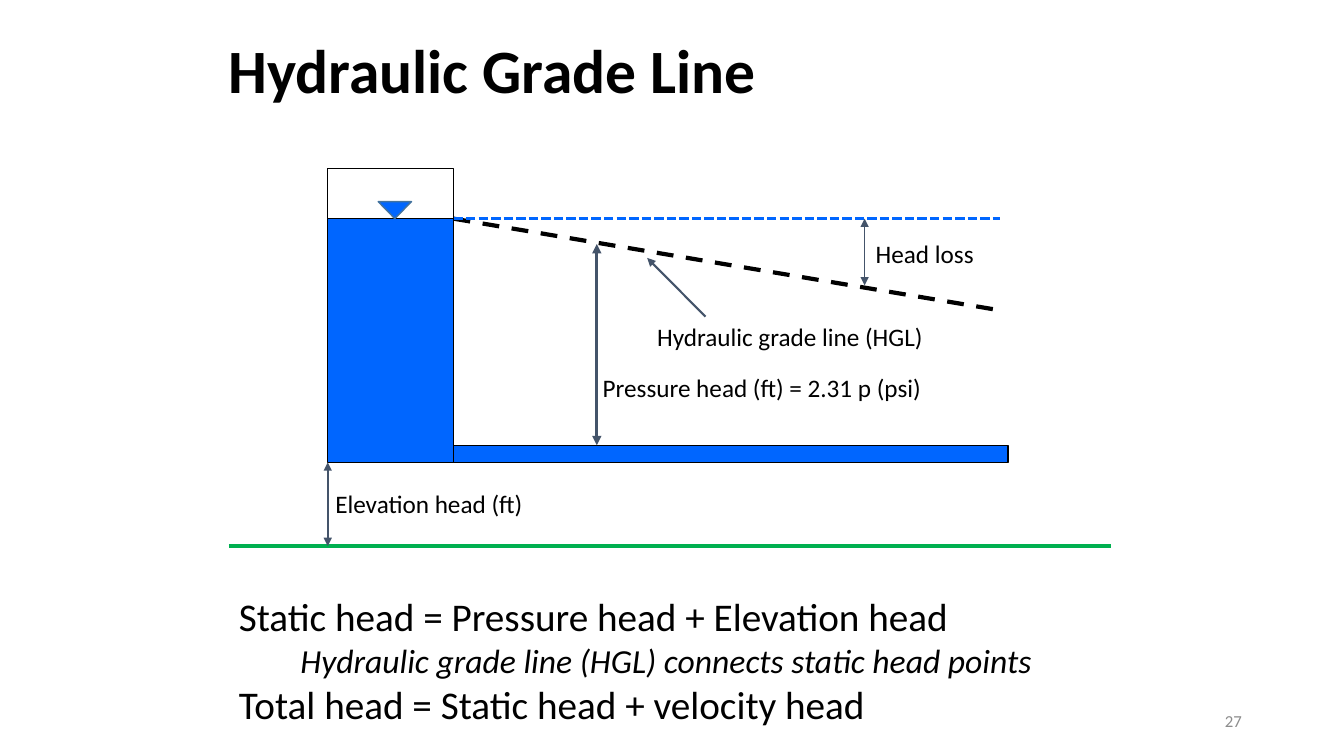
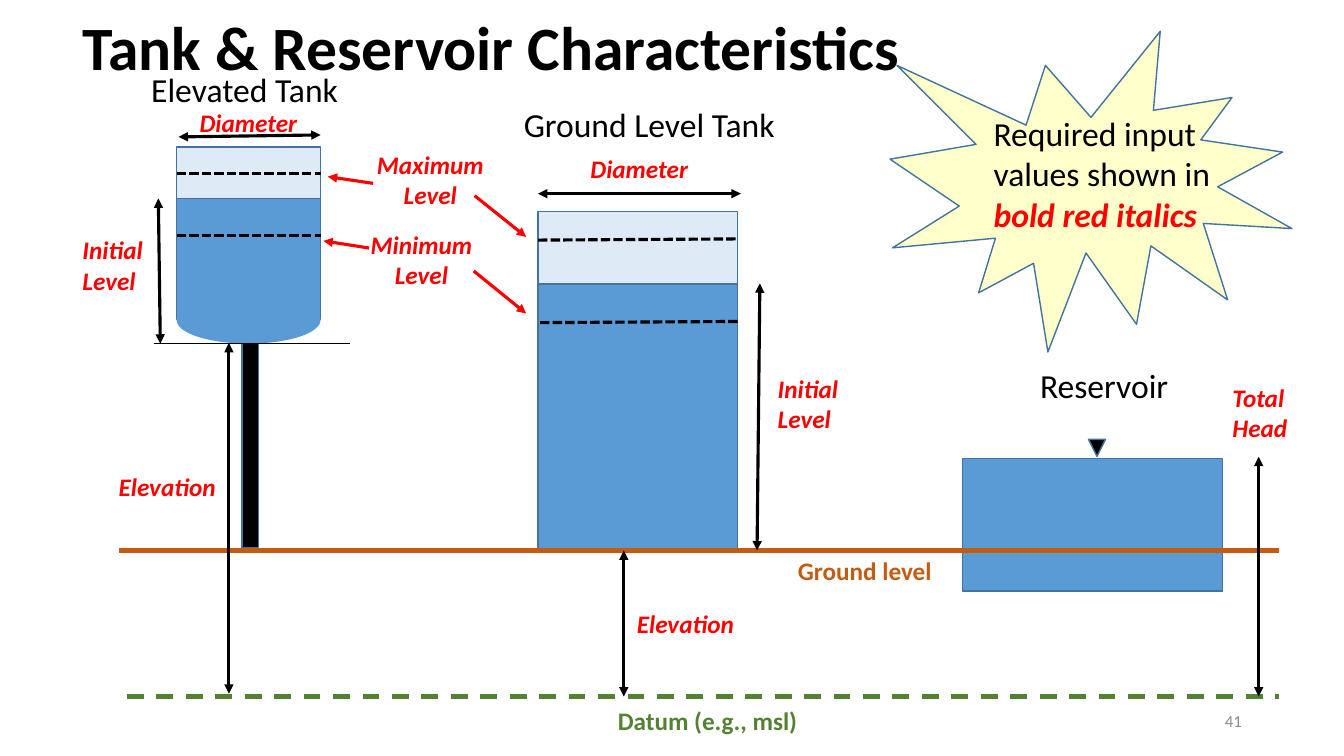
from pptx import Presentation
from pptx.dml.color import RGBColor
from pptx.enum.dml import MSO_LINE as Dash
from pptx.enum.shapes import MSO_CONNECTOR as Link, MSO_SHAPE as Kind
from pptx.enum.text import MSO_ANCHOR as Anchor, PP_ALIGN as Align
from pptx.oxml.ns import qn
from pptx.util import Cm, Pt
from lxml import etree

HUES = {
    "black": "000000", "white": "FFFFFF", "grey": "8C8C8C", "slate": "44546A",
    "water": "0066FF", "green": "00B050", "edge": "43739E", "blue": "5B9BD5",
    "pale": "DEEBF7", "cream": "FFFFCC", "soil": "C55A11", "datum": "548235",
    "red": "FF0000",
}
FONT = "Calibri"
INPUT = {"hue": "red", "bold": True, "italic": True}
BOTH = ("headEnd", "tailEnd")
END = ("tailEnd",)


def rgb(hue):
    return RGBColor.from_string(HUES[hue])


def style(run, size=18, hue="black", bold=False, italic=False):
    font = run.font
    font.name, font.size = FONT, Pt(size)
    font.bold, font.italic = bold, italic
    font.color.rgb = rgb(hue)


def text(slide, x, y, w, lines, h=1.02, wrap=False, align=Align.LEFT,
         anchor=Anchor.TOP, **look):
    """Add a text box with one look for all its lines; return its frame."""
    frame = slide.shapes.add_textbox(Cm(x), Cm(y), Cm(w), Cm(h)).text_frame
    frame.word_wrap = wrap
    frame.vertical_anchor = anchor
    frame.text = lines
    for para in frame.paragraphs:
        para.alignment = align
        for run in para.runs:
            style(run, **look)
    return frame


def title(slide, x, y, w, h, words):
    frame = text(slide, x, y, w, words, h, wrap=True, anchor=Anchor.MIDDLE,
                 size=44, bold=True)
    frame.paragraphs[0].line_spacing = 0.9


def number(slide, num):
    text(slide, 23.93, 17.65, 7.62, num, wrap=True, align=Align.RIGHT,
         anchor=Anchor.MIDDLE, size=12, hue="grey")


def shape(slide, x, y, w, h, fill, edge="edge", kind=Kind.RECTANGLE, turn=0):
    item = slide.shapes.add_shape(kind, Cm(x), Cm(y), Cm(w), Cm(h))
    item.shadow.inherit = False
    item.rotation = turn
    item.fill.solid()
    item.fill.fore_color.rgb = rgb(fill)
    if edge:
        item.line.color.rgb = rgb(edge)
        item.line.width = Pt(1)
    else:
        item.line.fill.background()


def line(slide, x1, y1, x2, y2, hue="black", width=2.25, dash=None, ends=()):
    item = slide.shapes.add_connector(Link.STRAIGHT, Cm(x1), Cm(y1), Cm(x2), Cm(y2))
    item.line.color.rgb = rgb(hue)
    item.line.width = Pt(width)
    if dash:
        item.line.dash_style = dash
    stroke = item.line._get_or_add_ln()
    for end in ends:
        etree.SubElement(stroke, qn("a:" + end)).set("type", "triangle")
    etree.SubElement(item._element.spPr, qn("a:effectLst"))


def grade(slide):
    """Draw the hydraulic grade line slide."""
    title(slide, 5.51, 0.76, 22.86, 2.21, "Hydraulic Grade Line")
    left, right, level, base, ground = 8.26, 11.43, 5.51, 11.65, 13.76
    pipe = 11.22
    shape(slide, left, level, right - left, base - level, "water", "black")
    shape(slide, left, 4.24, right - left, level - 4.24, "white", "black")
    line(slide, right, level, 25.2, 7.82, width=3, dash=Dash.DASH)
    shape(slide, right, pipe, 13.97, base - pipe, "water", "black")
    shape(slide, 9.53, 5.08, 0.84, 0.43, "water",
          kind=Kind.ISOSCELES_TRIANGLE, turn=180)
    line(slide, 5.77, ground, 27.99, ground, "green")
    line(slide, right, level, 25.2, level, "water", dash=Dash.SQUARE_DOT)

    line(slide, 17.78, 7.98, 16.31, 6.5, "slate", 1.5, ends=END)
    for x, top, foot, width in ((left, base, ground, 1.5),
                                (15.04, 6.15, pipe, 2.25),
                                (21.79, level, 7.19, 1)):
        line(slide, x, top, x, foot, "slate", width, ends=BOTH)
    for x, y, w, words in ((16.31, 7.98, 7.29, "Hydraulic grade line (HGL)"),
                           (8.2, 12.19, 5.31, "Elevation head (ft)"),
                           (14.94, 9.25, 8.66, "Pressure head (ft) = 2.31 p (psi)"),
                           (21.82, 5.89, 3.02, "Head loss")):
        text(slide, x, y, w, words)

    frame = text(slide, 5.77, 14.81, 23.29,
                 "Static head = Pressure head + Elevation head\n"
                 "Hydraulic grade line (HGL) connects static head points\n"
                 "Total head = Static head + velocity head",
                 h=3.68, wrap=True, size=28)
    inner = frame.paragraphs[1]
    inner._p.get_or_add_pPr().set("marL", str(Cm(1.55)))
    style(inner.runs[0], size=24, italic=True)
    number(slide, "27")


def tanks(slide):
    """Draw the tank and reservoir slide."""
    ground, datum, foot = 13.87, 17.55, 8.66
    shape(slide, 22.43, 0.79, 10.13, 8.08, "cream", kind=Kind.EXPLOSION1)
    title(slide, 1.83, 0.25, 29.9, 2.03, "Tank & Reservoir Characteristics")

    for x, y, w, h, fill in ((6.1, 7.92, 0.41, 5.89, "black"),
                             (4.45, 4.93, 3.63, 3.12, "blue"),
                             (4.45, 3.71, 3.63, 1.3, "pale"),
                             (13.56, 7.16, 5.03, 6.73, "blue"),
                             (13.56, 5.33, 5.03, 1.83, "pale"),
                             (24.26, 11.56, 6.55, 3.33, "blue")):
        shape(slide, x, y, w, h, fill)
    shape(slide, 4.45, 7.47, 3.63, 1.19, "blue", None, Kind.OVAL)
    shape(slide, 27.43, 11.07, 0.43, 0.43, "black",
          kind=Kind.ISOSCELES_TRIANGLE, turn=180)

    line(slide, 3, ground, 32.23, ground, "soil", 3)
    line(slide, 3.2, datum, 32.23, datum, "datum", 3, Dash.DASH)
    line(slide, 3.89, foot, 8.81, foot, width=1)
    for ends in ((4.45, 4.37, 8.08, 4.37), (4.45, 5.94, 8.08, 5.94),
                 (13.56, 6.05, 18.59, 6.02), (13.61, 8.13, 18.64, 8.1)):
        line(slide, *ends, dash=Dash.SQUARE_DOT)
    for ends in ((31.72, datum, 31.72, 11.51), (15.72, datum, 15.72, ground),
                 (19.08, ground, 19.15, 7.14), (5.77, 17.48, 5.77, 8.64),
                 (4.04, foot, 3.99, 5), (18.67, 4.88, 13.56, 4.88),
                 (8.08, 3.4, 4.5, 3.45)):
        line(slide, *ends, ends=BOTH)
    for ends in ((9.4, 4.62, 8.26, 4.45), (9.3, 6.25, 8.15, 6.07),
                 (11.96, 4.93, 13.26, 5.97), (11.94, 6.83, 13.26, 7.9)):
        line(slide, *ends, "red", ends=END)

    for x, y, w, words in ((25.96, 9.07, 3.78, "Reservoir"),
                           (3.56, 1.6, 5.26, "Elevated Tank"),
                           (12.95, 2.49, 6.91, "Ground Level Tank")):
        text(slide, x, y, w, words, h=1.27, size=24)
    text(slide, 19.86, ground, 4.06, "Ground level", wrap=True, hue="soil", bold=True)
    text(slide, 15.32, 17.65, 5.08, "Datum (e.g., msl)", hue="datum", bold=True)
    for x, y, w, words in ((15.8, 15.21, 2.97, "Elevation"),
                           (2.74, 11.76, 2.97, "Elevation"),
                           (14.63, 3.73, 3, "Diameter"),
                           (4.78, 2.57, 3, "Diameter")):
        text(slide, x, y, w, words, **INPUT)
    for x, y, w, words, align in ((30.81, 9.5, 1.91, "Total\nHead", Align.LEFT),
                                  (19.35, 9.27, 2.03, "Initial\nLevel", Align.LEFT),
                                  (1.83, 5.79, 2.03, "Initial\nLevel", Align.LEFT),
                                  (9.22, 3.63, 3.25, "Maximum\nLevel", Align.CENTER),
                                  (8.97, 5.66, 3.3, "Minimum\nLevel", Align.CENTER)):
        text(slide, x, y, w, words, h=1.8, align=align, **INPUT)

    note = text(slide, 24.79, 2.72, 7.44, "Required input values shown in ",
                h=3.33, wrap=True, size=24)
    run = note.paragraphs[0].add_run()
    run.text = "bold red italics"
    style(run, size=24, **INPUT)
    number(slide, "41")


def main():
    deck = Presentation()
    deck.slide_width, deck.slide_height = Cm(33.87), Cm(19.05)
    for draw in (grade, tanks):
        draw(deck.slides.add_slide(deck.slide_layouts[6]))
    deck.save("out.pptx")


if __name__ == "__main__":
    main()
